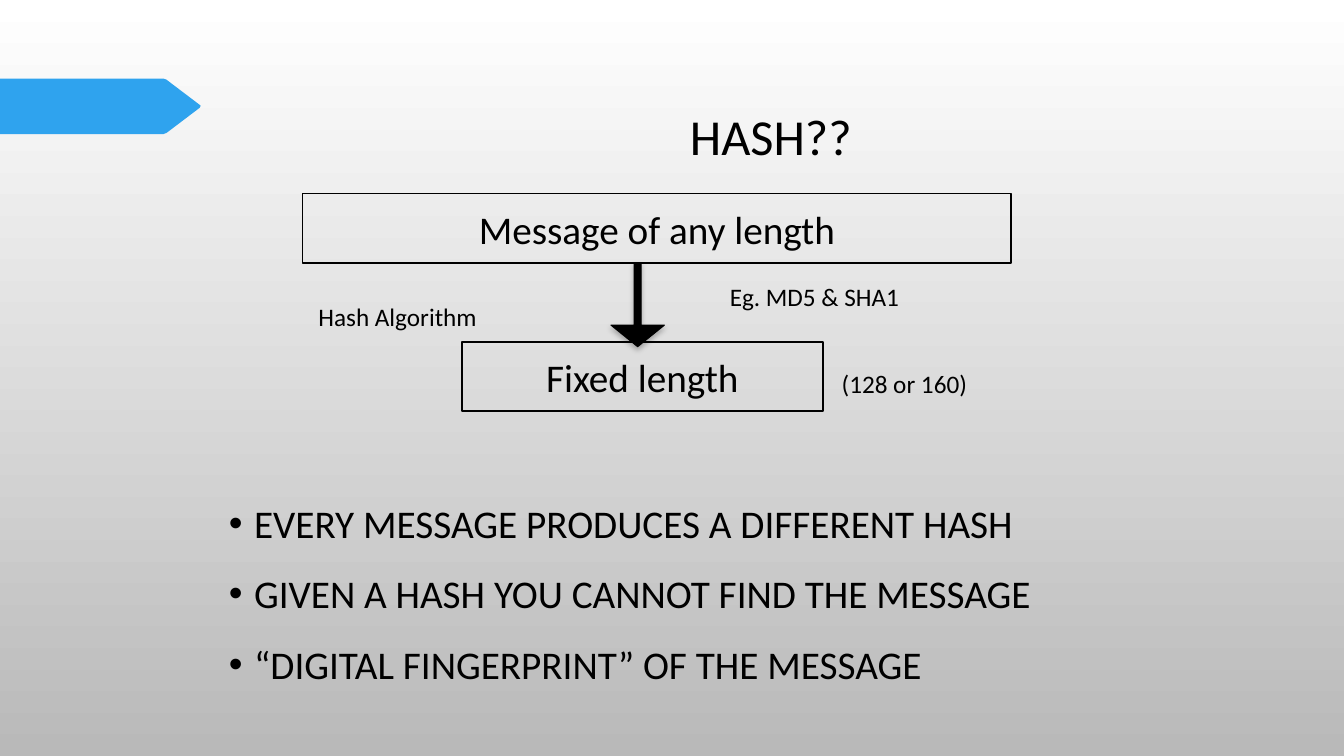
"""Builds a slide that explains what a hash is."""
from dataclasses import dataclass

from lxml import etree
from pptx import Presentation
from pptx.dml.color import RGBColor
from pptx.enum.shapes import MSO_SHAPE
from pptx.enum.text import MSO_ANCHOR, MSO_AUTO_SIZE, PP_ALIGN
from pptx.oxml.ns import qn
from pptx.util import Inches, Pt

RECTANGLE, DOWN_ARROW = MSO_SHAPE.RECTANGLE, MSO_SHAPE.DOWN_ARROW
CENTER, LEFT = PP_ALIGN.CENTER, PP_ALIGN.LEFT
MIDDLE, TOP = MSO_ANCHOR.MIDDLE, MSO_ANCHOR.TOP
NO_AUTO_SIZE = MSO_AUTO_SIZE.NONE
FONT = "Calibri"
COLORS = {"ink": "000000", "tab": "2FA3EE", "top": "FFFFFF", "bottom": "B9B9B9"}


@dataclass
class TextItem:
    """A text with its place in inches."""
    text: str
    left: float
    top: float
    width: float
    height: float

    def box(self) -> tuple:
        """Return the place as lengths."""
        return tuple(map(Inches, (self.left, self.top, self.width, self.height)))


TITLE = TextItem("HASH??", 2.84, 0.68, 9.61, 1.4)
BODY = TextItem(
    "EVERY MESSAGE PRODUCES A DIFFERENT HASH\n"
    "GIVEN A HASH YOU CANNOT FIND THE MESSAGE\n"
    "“DIGITAL FINGERPRINT” OF THE MESSAGE",
    2.17, 4.81, 9, 1.89,
)
BOXES = [
    TextItem("Message of any length", 3, 1.92, 7.03, 0.69),
    TextItem("Fixed length", 4.58, 3.39, 3.58, 0.69),
]
LABELS = [
    TextItem("Hash Algorithm", 3.06, 2.94, 3.06, 0.4),
    TextItem("Eg. MD5 & SHA1", 7.14, 2.74, 3.06, 0.4),
    TextItem("(128 or 160)", 8.25, 3.6, 3.06, 0.4),
]
TAB_OUTLINE = [
    (0, 0.78), (1.62, 0.78), (1.65, 0.79), (1.98, 1.04), (1.99, 1.05),
    (1.98, 1.07), (1.65, 1.32), (1.62, 1.33), (0, 1.33),
]


def color(name: str) -> RGBColor:
    """Look up a named colour."""
    return RGBColor.from_string(COLORS[name])


def write(shape, text: str, size: int, alignment=LEFT, anchor=TOP) -> None:
    """Fill a shape with formatted text."""
    frame = shape.text_frame
    frame.text = text
    frame.word_wrap = True
    frame.auto_size = NO_AUTO_SIZE
    frame.vertical_anchor = anchor
    for paragraph in frame.paragraphs:
        paragraph.alignment = alignment
        for run in paragraph.runs:
            run.font.name = FONT
            run.font.size = Pt(size)
            run.font.color.rgb = color("ink")


def paint_background(slide) -> None:
    """Give the slide a vertical gradient."""
    fill = slide.background.fill
    fill.gradient()
    fill.gradient_angle = 270
    for stop, name, position in zip(fill.gradient_stops, ("top", "bottom"), (0, 1)):
        stop.color.rgb = color(name)
        stop.position = position


def add_tab(slide) -> None:
    """Draw the pointed tab at the left edge."""
    start, *others = [(Inches(x), Inches(y)) for x, y in TAB_OUTLINE]
    builder = slide.shapes.build_freeform(*start)
    builder.add_line_segments(others)
    tab = builder.convert_to_shape()
    tab.shadow.inherit = False
    tab.fill.solid()
    tab.fill.fore_color.rgb = color("tab")
    tab.line.fill.background()


def place(placeholder, item: TextItem) -> None:
    """Move a placeholder to the place of an item."""
    (placeholder.left, placeholder.top,
     placeholder.width, placeholder.height) = item.box()


def add_title_and_list(slide) -> None:
    """Fill the title and body placeholders."""
    title, body = slide.shapes.title, slide.placeholders[1]
    place(title, TITLE)
    write(title, TITLE.text, 36, CENTER, MIDDLE)
    title.text_frame.paragraphs[0].line_spacing = 0.9
    place(body, BODY)
    write(body, BODY.text, 28)
    for paragraph in body.text_frame.paragraphs:
        paragraph.line_spacing = 1.2
        paragraph.space_before = Pt(10)
        properties = paragraph._p.get_or_add_pPr()
        properties.set("marL", str(Inches(0.25)))
        properties.set("indent", str(Inches(-0.25)))
        etree.SubElement(properties, qn("a:buChar"), char="•")


def add_box(slide, item: TextItem) -> None:
    """Draw an outlined box with centred text."""
    box = slide.shapes.add_shape(RECTANGLE, *item.box())
    box.shadow.inherit = False
    box.fill.background()
    box.line.color.rgb = color("ink")
    box.line.width = Pt(1.25)
    write(box, item.text, 28, CENTER, MIDDLE)


def add_arrow(slide) -> None:
    """Draw the shadowed arrow between the boxes."""
    arrow = slide.shapes.add_shape(
        DOWN_ARROW, Inches(6.06), Inches(2.61), Inches(0.53), Inches(0.83))
    arrow.adjustments[0], arrow.adjustments[1] = 0.129, 0.403
    arrow.fill.solid()
    arrow.fill.fore_color.rgb = color("ink")
    arrow.line.color.rgb = color("ink")
    arrow.line.width = Pt(0.75)
    arrow.shadow.inherit = False
    effects = arrow._element.spPr.find(qn("a:effectLst"))
    shadow = etree.SubElement(
        effects, qn("a:outerShdw"), blurRad=str(Pt(4)), dist=str(Pt(2)),
        dir="5400000", rotWithShape="0")
    shade = etree.SubElement(shadow, qn("a:srgbClr"), val=COLORS["ink"])
    etree.SubElement(shade, qn("a:alpha"), val="28000")


def main() -> None:
    """Build and save the presentation."""
    presentation = Presentation()
    presentation.slide_width = Inches(13.33)
    presentation.slide_height = Inches(7.5)
    slide = presentation.slides.add_slide(presentation.slide_layouts[1])
    paint_background(slide)
    add_tab(slide)
    add_title_and_list(slide)
    message, digest = BOXES
    add_box(slide, message)
    add_arrow(slide)
    add_box(slide, digest)
    for label in LABELS:
        write(slide.shapes.add_textbox(*label.box()), label.text, 18)
    presentation.save("out.pptx")


if __name__ == "__main__":
    main()
